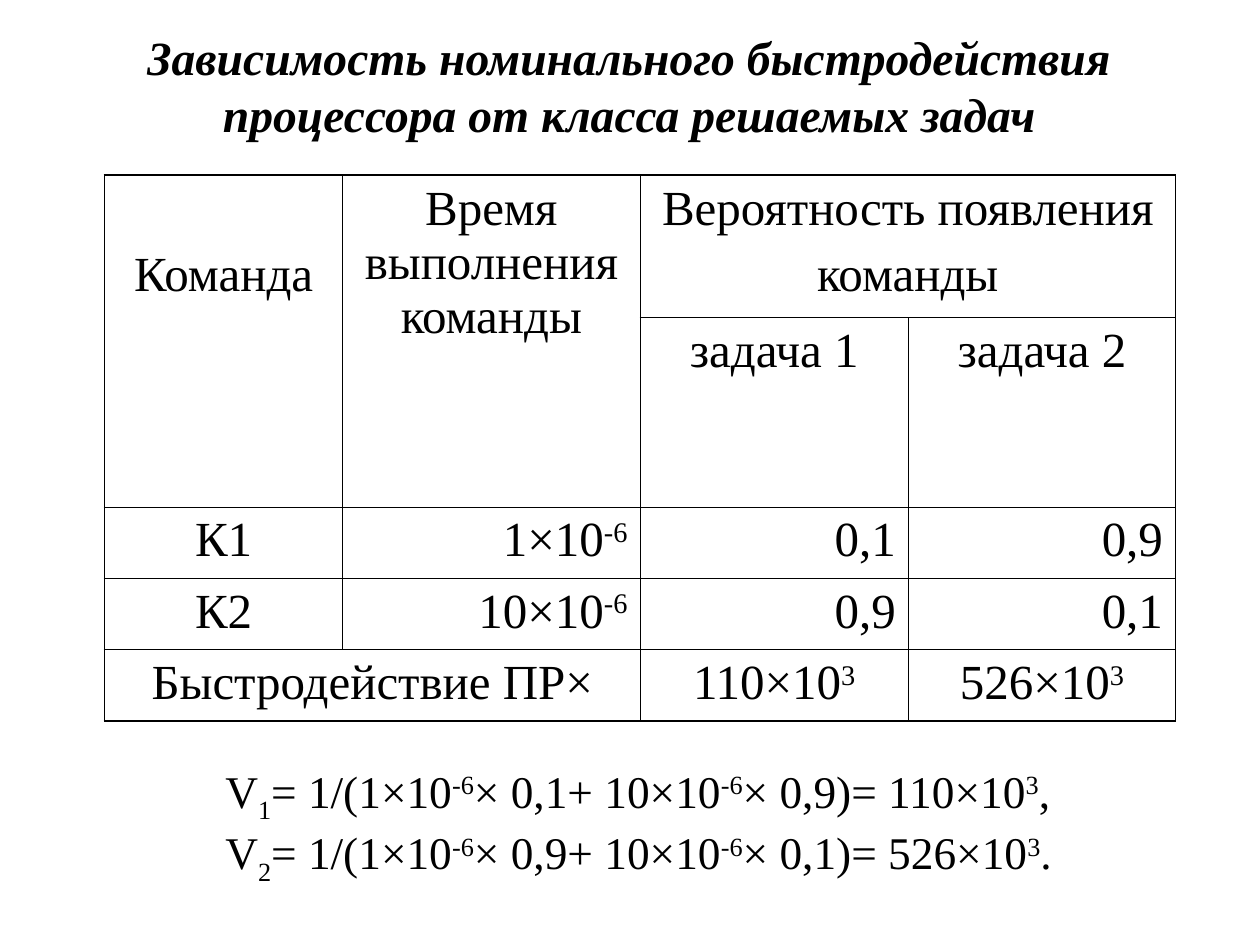
from lxml.etree import SubElement
from pptx import Presentation
from pptx.dml.color import RGBColor
from pptx.enum.text import MSO_ANCHOR as Anchor, PP_ALIGN as Align
from pptx.oxml.ns import qn
from pptx.util import Inches, Pt

FONT = "Times New Roman"
COLORS = {"ink": "000000"}
INNER_LINE, OUTER_LINE = Pt(0.45), Pt(1.08)
BASELINES = {"^": "30000", "_": "-25000"}

# Pieces between bars: a leading ^ raises, a leading _ lowers
COMMAND_ROWS = [
    ("К1", "1×10|^-6", "0,1", "0,9"),
    ("К2", "10×10|^-6", "0,9", "0,1"),
]
FORMULAS = [
    "V|_1|= 1/(1×10|^-6|× 0,1+ 10×10|^-6|× 0,9)= 110×10|^3|,",
    "V|_2|= 1/(1×10|^-6|× 0,9+ 10×10|^-6|× 0,1)= 526×10|^3|.",
]


def write_lines(frame, lines, size, align, bold=False, italic=False):
    """Fill a text frame, one paragraph for each marked-up line."""
    frame.word_wrap = True
    for number, line in enumerate(lines):
        paragraph = frame.add_paragraph() if number else frame.paragraphs[0]
        paragraph.alignment = align
        paragraph.space_before = Pt(7 if number else 0)
        for piece in line.split("|"):
            run = paragraph.add_run()
            run.text = piece.lstrip("^_")
            font = run.font
            font.name, font.size = FONT, Pt(size)
            font.bold, font.italic = bold, italic
            font.color.rgb = RGBColor.from_string(COLORS["ink"])
            if piece[0] in BASELINES:
                run._r.get_or_add_rPr().set("baseline", BASELINES[piece[0]])


def set_borders(cell, widths):
    """Draw the left, right, top and bottom lines of a cell."""
    properties = cell._tc.get_or_add_tcPr()
    for side, width in zip("LRTB", widths):
        line = SubElement(properties, qn(f"a:ln{side}"), w=str(int(width)))
        fill = SubElement(line, qn("a:solidFill"))
        SubElement(fill, qn("a:srgbClr"), val=COLORS["ink"])


def add_title(slide, left, top, width, height):
    frame = slide.shapes.add_textbox(left, top, width, height).text_frame
    frame.vertical_anchor = Anchor.MIDDLE
    title = "Зависимость номинального быстродействия процессора от класса решаемых задач"
    write_lines(frame, [title], 27.2, Align.CENTER, bold=True, italic=True)


def add_speed_table(slide, left, top, width, height):
    column_widths = [1.89, 2.36, 2.13, 2.12]
    row_heights = [1.06, 1.39, 0.53, 0.53, 0.53]
    last_row, last_column = len(row_heights) - 1, len(column_widths) - 1
    table = slide.shapes.add_table(
        len(row_heights), len(column_widths), left, top, width, height).table
    table.first_row = table.horz_banding = False
    for column, column_width in zip(table.columns, column_widths):
        column.width = Inches(column_width)
    for row, row_height in zip(table.rows, row_heights):
        row.height = Inches(row_height)

    # Merged headings and total
    for start, end in [((0, 0), (1, 0)), ((0, 1), (1, 1)),
                       ((0, 2), (0, 3)), ((4, 0), (4, 1))]:
        table.cell(*start).merge(table.cell(*end))

    # Heavier outer frame, no fill
    for r in range(last_row + 1):
        for c in range(last_column + 1):
            cell = table.cell(r, c)
            bottom = r + (cell.span_height if cell.is_merge_origin else 1) - 1
            right = c + (cell.span_width if cell.is_merge_origin else 1) - 1
            on_frame = (c == 0, right == last_column, r == 0, bottom == last_row)
            set_borders(cell, [OUTER_LINE if edge else INNER_LINE for edge in on_frame])
            cell.fill.background()

    # Headings and totals are centred
    centred = {
        (0, 0): ["Команда"],
        (0, 1): ["Время выполнения команды"],
        (0, 2): ["Вероятность появления", "команды"],
        (1, 2): ["задача 1"],
        (1, 3): ["задача 2"],
        (4, 0): ["Быстродействие ПР×"],
        (4, 2): ["110×10|^3"],
        (4, 3): ["526×10|^3"],
    }
    for position, lines in centred.items():
        write_lines(table.cell(*position).text_frame, lines, 28, Align.CENTER)
    table.cell(0, 0).margin_top = Inches(0.58)

    # Command values
    for r, values in enumerate(COMMAND_ROWS, start=2):
        for c, value in enumerate(values):
            align = Align.RIGHT if c else Align.CENTER
            write_lines(table.cell(r, c).text_frame, [value], 28, align)


def add_formulas(slide, left, top, width, height):
    frame = slide.shapes.add_textbox(left, top, width, height).text_frame
    write_lines(frame, FORMULAS, 25.9, Align.JUSTIFY)
    for paragraph in frame.paragraphs:
        paragraph.line_spacing = 0.8
        paragraph._p.get_or_add_pPr().set("marL", str(Inches(1.38)))


def main():
    deck = Presentation()
    deck.slide_width, deck.slide_height = Inches(10), Inches(7.5)
    slide = deck.slides.add_slide(deck.slide_layouts[6])
    add_title(slide, Inches(0.27), Inches(0.13), Inches(9.45), Inches(1.09))
    add_speed_table(slide, Inches(0.83), Inches(1.39), Inches(8.5), Inches(4.04))
    add_formulas(slide, Inches(0.31), Inches(6.05), Inches(9.5), Inches(1.02))
    deck.save("out.pptx")


if __name__ == "__main__":
    main()
